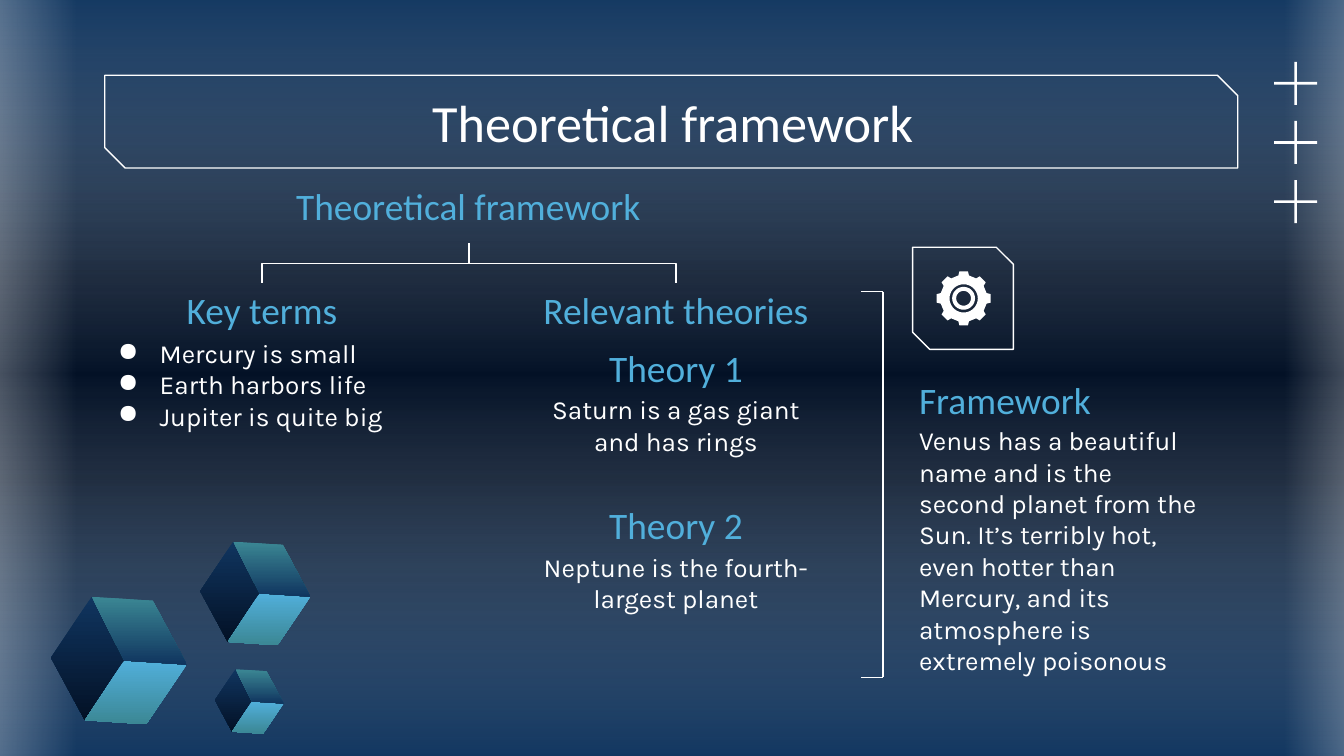
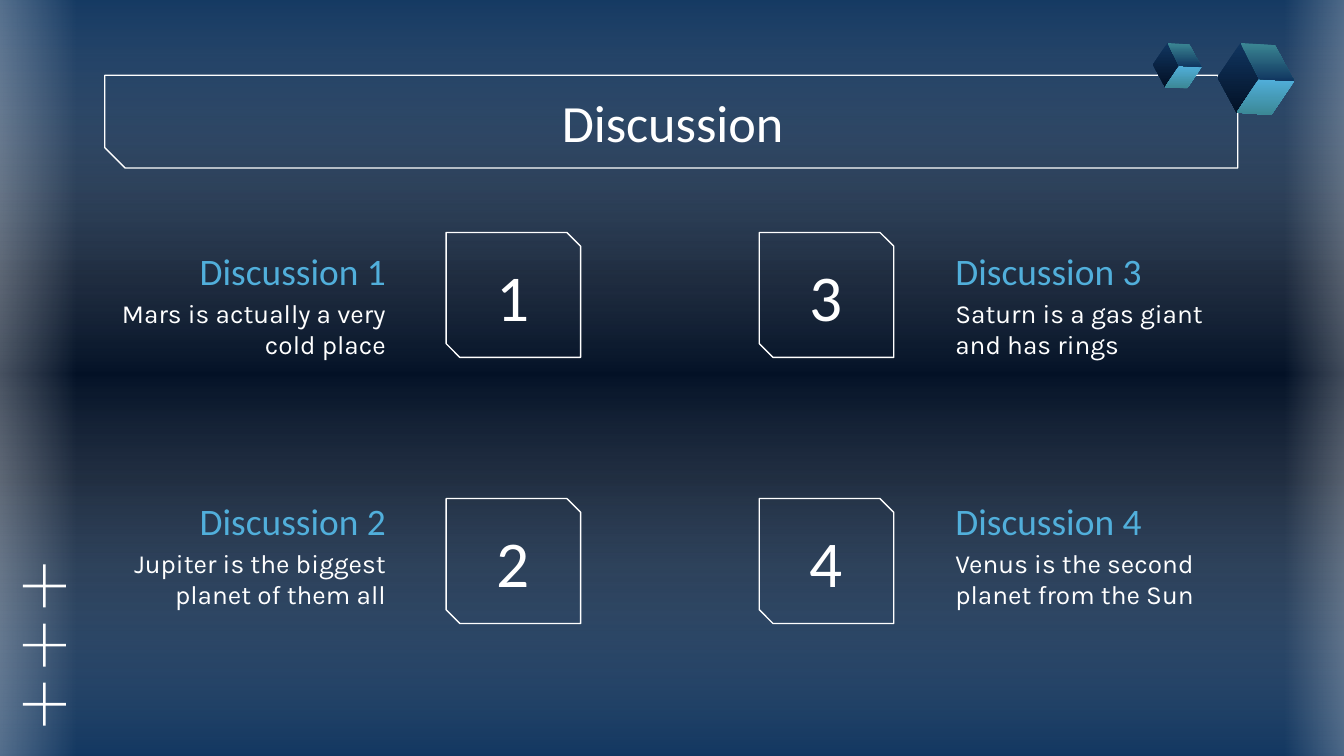
from math import cos, radians, sin

from pptx import Presentation
from pptx.dml.color import RGBColor
from pptx.enum.shapes import MSO_CONNECTOR, MSO_SHAPE
from pptx.enum.text import MSO_ANCHOR, PP_ALIGN
from pptx.oxml import parse_xml
from pptx.oxml.ns import nsdecls, qn
from pptx.util import Emu, Inches, Pt

RECT, SNIP = MSO_SHAPE.RECTANGLE, MSO_SHAPE.SNIP_2_DIAG_RECTANGLE
STRAIGHT, ELBOW = MSO_CONNECTOR.STRAIGHT, MSO_CONNECTOR.ELBOW
LEFT, CENTER, RIGHT = PP_ALIGN.LEFT, PP_ALIGN.CENTER, PP_ALIGN.RIGHT
TOP, MIDDLE, BOTTOM = MSO_ANCHOR.TOP, MSO_ANCHOR.MIDDLE, MSO_ANCHOR.BOTTOM

# The slide is a grid of 100 columns by 56.25 rows of square cells
CELL = Inches(0.1)
COLS, ROWS = 100, 56.25

WHITE, SKY, TEAL, BLUE, NIGHT = "FFFFFF", "51AFDB", "3B8794", "10355F", "031126"
HEAD_FONT, BODY_FONT = "Calibri", "Karla"

# Cube faces: corners as shares of the cube's width, with gradient colours
APEX, WEST, FOOT, CORE = (0.3, 0), (0, 0.45), (0.25, 0.91), (0.54, 0.47)
NORTH, EAST, SOUTH = (0.75, 0.03), (1, 0.5), (0.7, 0.94)
CUBE_FACES = [
    ((APEX, WEST, FOOT, CORE), BLUE, NIGHT),
    ((CORE, EAST, SOUTH, FOOT), SKY, TEAL),
    ((APEX, NORTH, EAST, CORE), TEAL, BLUE),
]


def rgb(color):
    return RGBColor.from_string(color)


def cells(*values):
    return [Emu(round(v * CELL)) for v in values]


def ring(cx, cy, radius, steps=36):
    """Points of a circle."""
    turns = [radians(360 * i / steps) for i in range(steps)]
    return [(cx + radius * cos(t), cy + radius * sin(t)) for t in turns]


def cog(cx, cy, tip, root, teeth=8):
    """Points of a toothed wheel."""
    points = []
    for i in range(teeth):
        for offset, radius in ((-13, root), (-9, tip), (9, tip), (13, root)):
            t = radians(360 * i / teeth + offset)
            points.append((cx + radius * cos(t), cy + radius * sin(t)))
    return points


def set_gradient(props, stops, angle):
    """Replace a solid fill by a gradient of (position, colour, opacity) stops."""
    stop_xml = "".join(
        f'<a:gs pos="{pos * 1000}"><a:srgbClr val="{color}">'
        f'<a:alpha val="{alpha * 1000}"/></a:srgbClr></a:gs>'
        for pos, color, alpha in stops)
    grad = parse_xml(
        f'<a:gradFill {nsdecls("a")} rotWithShape="1"><a:gsLst>{stop_xml}</a:gsLst>'
        f'<a:lin ang="{angle * 60000}" scaled="0"/></a:gradFill>')
    props.replace(props.find(qn("a:solidFill")), grad)


class Deck:
    def __init__(self):
        self.prs = Presentation()
        self.prs.slide_width, self.prs.slide_height = cells(COLS, ROWS)
        master = self.prs.slide_master
        master.background.fill.solid()
        stops = [(0, BLUE, 100), (37, NIGHT, 100), (63, NIGHT, 100), (100, BLUE, 100)]
        set_gradient(master.element.find(".//" + qn("p:bgPr")), stops, 90)
        self.s = None

    def slide(self, title):
        """Start a slide with the shared glow and title frame."""
        self.s = self.prs.slides.add_slide(self.prs.slide_layouts[6])
        veil = [(0, BLUE, 59), (50, WHITE, 0), (100, BLUE, 59)]
        glow = [(0, WHITE, 47), (100, WHITE, 0)]
        self.panel((0, -1.3, 102.1, 58.1), veil, 90)
        self.panel((-4.1, -0.9, 9.8, 58), glow, 0)
        self.panel((95.6, -1.3, 8.5, 58), glow, 180)
        self.frame((7.8, 5.6, 84.3, 6.9), 0.22)
        self.text((7.9, 5.9, 84.3, 6.3), title, HEAD_FONT, 28, WHITE, CENTER, MIDDLE)

    def paint(self, sp, color):
        sp.shadow.inherit = False
        sp.fill.solid()
        sp.fill.fore_color.rgb = rgb(color)
        sp.line.fill.background()
        return sp

    def block(self, box, color=WHITE):
        return self.paint(self.s.shapes.add_shape(RECT, *cells(*box)), color)

    def panel(self, box, stops, angle):
        set_gradient(self.block(box)._element.spPr, stops, angle)

    def outline(self, *contours, color=WHITE):
        """Filled polygon; further contours cut holes."""
        first, *rest = [[cells(*point) for point in c] for c in contours]
        fb = self.s.shapes.build_freeform(*first[0])
        fb.add_line_segments(first[1:], close=True)
        for hole in rest:
            fb.move_to(*hole[0])
            fb.add_line_segments(hole[1:], close=True)
        return self.paint(fb.convert_to_shape(), color)

    def frame(self, box, cut, label=""):
        """White outlined box with two snipped corners."""
        sp = self.s.shapes.add_shape(SNIP, *cells(*box))
        sp.adjustments[0], sp.adjustments[1] = 0, cut
        sp.shadow.inherit = False
        sp.fill.background()
        sp.line.color.rgb = rgb(WHITE)
        sp.line.width = Pt(0.75)
        if label:
            self.set_text(sp.text_frame, [label], HEAD_FONT, 35, WHITE, CENTER, MIDDLE)

    def set_text(self, tf, lines, font, size, color, align, anchor, side=1, bullet=False):
        tf.word_wrap = True
        tf.vertical_anchor = anchor
        tf.margin_left, tf.margin_right, tf.margin_top, tf.margin_bottom = cells(
            side, side, 1, 1)
        tf.text = "\n".join(lines)
        for p in tf.paragraphs:
            p.alignment = align
            if bullet:
                pPr = p._p.get_or_add_pPr()
                pPr.set("marL", str(Inches(0.31)))
                pPr.set("indent", str(Inches(-0.35)))
                pPr.append(parse_xml(
                    f'<a:buClr {nsdecls("a")}><a:srgbClr val="{color}"/></a:buClr>'))
                pPr.append(parse_xml(f'<a:buChar {nsdecls("a")} char="●"/>'))
            for r in p.runs:
                r.font.name, r.font.size = font, Pt(size)
                r.font.color.rgb = rgb(color)

    def text(self, box, text, *style, **options):
        tb = self.s.shapes.add_textbox(*cells(*box))
        self.set_text(tb.text_frame, text.split("\n"), *style, **options)

    def heading(self, box, text, align=CENTER):
        self.text(box, text, HEAD_FONT, 20, SKY, align, BOTTOM)

    def body(self, box, text, align=LEFT, **options):
        self.text(box, text, BODY_FONT, 14, WHITE, align, TOP, **options)

    def line(self, x1, y1, x2, y2, kind=STRAIGHT):
        cxn = self.s.shapes.add_connector(kind, *cells(x1, y1, x2, y2))
        cxn.line.color.rgb = rgb(WHITE)
        cxn.line.width = Pt(0.75)
        cxn._element.spPr.append(parse_xml(f'<a:effectLst {nsdecls("a")}/>'))
        return cxn

    def branch(self, x, y, reach, drop):
        """Elbow going down, sideways by reach, and down again."""
        cx, cy = x + reach / 2, y + drop / 2
        half_w = drop / 2 if reach < 0 else -drop / 2
        half_h = abs(reach) / 2
        cxn = self.line(cx - half_w, cy - half_h, cx + half_w, cy + half_h, ELBOW)
        turn = 90 if reach < 0 else 270
        cxn._element.spPr.get_or_add_xfrm().set("rot", str(turn * 60000))

    def crosses(self, x, y):
        """Column of three plus signs."""
        size, bar, step = 3.2, 0.2, 4.4
        mid = (size - bar) / 2
        for i in range(3):
            top = y + i * step
            self.block((x, top + mid, size, bar))
            self.block((x + mid, top, bar, size))

    def cube(self, x, y, width):
        for corners, start, end in CUBE_FACES:
            sp = self.outline([(x + width * u, y + width * v) for u, v in corners])
            set_gradient(sp._element.spPr, [(0, start, 100), (100, end, 100)], 90)

    def gear(self, cx, cy):
        self.outline(cog(cx, cy, 2.03, 1.75), ring(cx, cy, 1.05))
        self.outline(ring(cx, cy, 0.85), ring(cx, cy, 0.55))


def theory_slide(deck):
    deck.slide("Theoretical framework")

    # Tree
    deck.heading((15.8, 13.4, 38.1, 4.6), "Theoretical framework")
    deck.heading((7.8, 21.1, 23.4, 4.6), "Key terms")
    deck.heading((35.1, 21.1, 30.4, 4.6), "Relevant theories")
    deck.body((7.8, 24.1, 23.4, 7.6),
              "Mercury is small\nEarth harbors life\nJupiter is quite big", bullet=True)
    for reach in (-15.4, 15.4):
        deck.branch(34.9, 18.1, reach, 3)

    # Theories
    theories = ["Saturn is a gas giant and has rings", "Neptune is the fourth-largest planet"]
    for i, theory in enumerate(theories):
        y = 25.7 + 11.7 * i
        deck.heading((40.4, y, 19.8, 4.3), f"Theory {i + 1}")
        deck.body((37.3, y + 2.6, 26, 6.3), theory, CENTER, side=2)

    # Bracket and framework
    left, right, top, bottom = 64.1, 65.7, 21.7, 50.4
    deck.line(right, top, right, bottom)
    for y in (top, bottom):
        deck.line(left, y, right, y)
    deck.heading((67.4, 26.6, 22.7, 5.8), "Framework", LEFT)
    deck.body((67.4, 30.6, 22.7, 19.8),
              "Venus has a beautiful name and is the second planet from the Sun. "
              "It’s terribly hot, even hotter than Mercury, and its atmosphere is "
              "extremely poisonous")
    deck.frame((67.9, 18.4, 7.5, 7.6), 0.17)
    deck.gear(71.7, 22.2)

    # Decoration
    deck.crosses(94.8, 4.6)
    for x, y, width in ((3.8, 44.4, 10.1), (16, 49.8, 5.1), (14.9, 40.3, 8.2)):
        deck.cube(x, y, width)


def discussion_slide(deck):
    deck.slide("Discussion")

    # Decoration
    deck.crosses(1.7, 42)
    deck.cube(90.6, 3.2, 5.7)
    deck.cube(85.8, 3.2, 3.6)

    # Numbered points, down the left side and then the right
    points = ["Mars is actually a very cold place",
              "Jupiter is the biggest planet of them all",
              "Saturn is a gas giant and has rings",
              "Venus is the second planet from the Sun"]
    sides = [(7.9, 33.2, RIGHT), (70.1, 56.5, LEFT)]
    for i, point in enumerate(points):
        col, row = divmod(i, 2)
        text_x, tile_x, align = sides[col]
        y = 18.6 * (row + 1)
        deck.heading((text_x, y, 21.8, 4.2), f"Discussion {i + 1}", align)
        deck.body((text_x, y + 2.5, 21.8, 6.3), point, align)
        deck.frame((tile_x, 17.3 + 19.8 * row, 10, 9.3), 0.11, str(i + 1))


def main():
    deck = Deck()
    theory_slide(deck)
    discussion_slide(deck)
    deck.prs.save("out.pptx")


if __name__ == "__main__":
    main()
